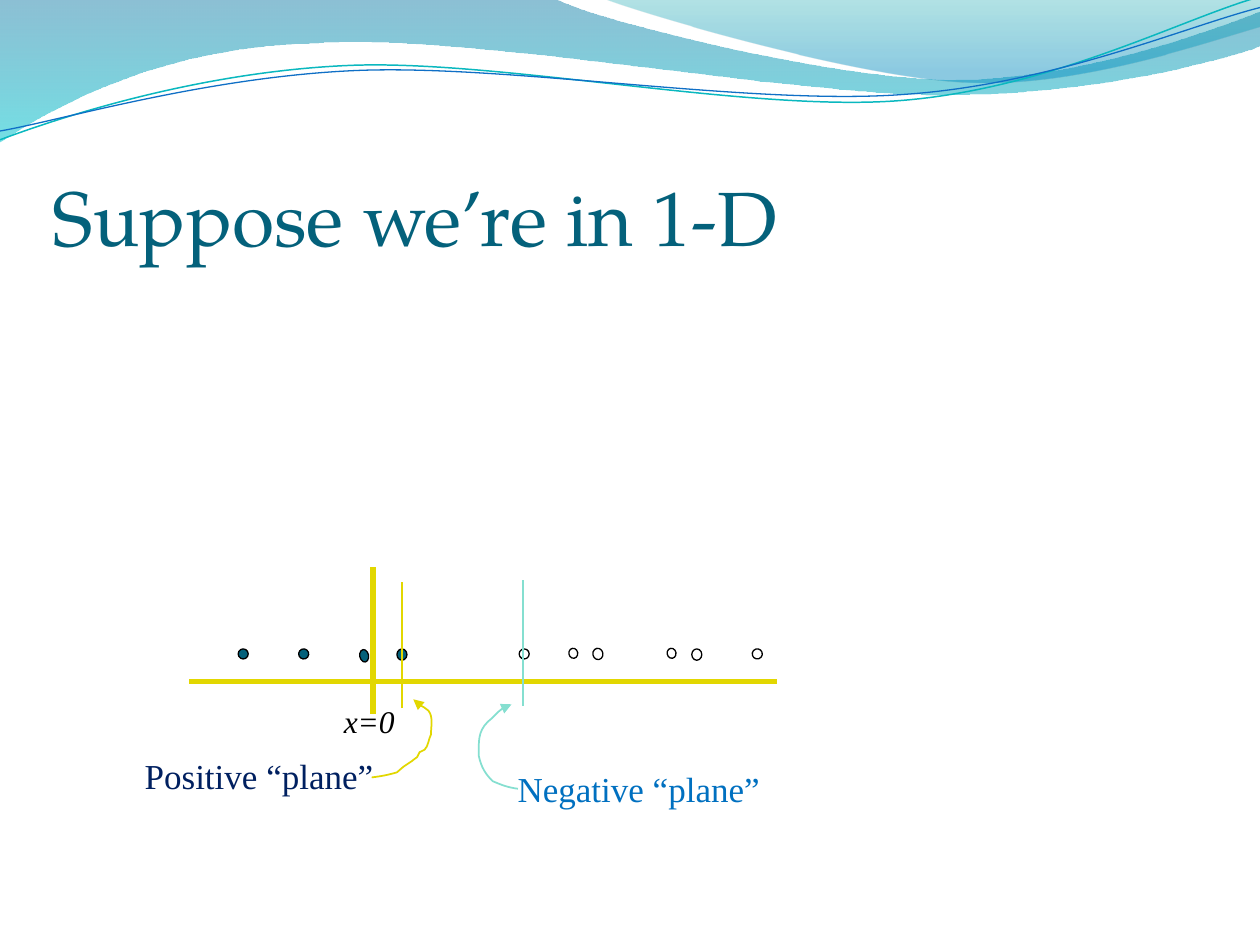
from typing import NamedTuple

from lxml import etree
from pptx import Presentation, util as u
from pptx.dml.color import RGBColor
from pptx.enum import shapes, text
from pptx.oxml.ns import qn

COLORS = {
    "title": "04617B", "positive": "E2D700", "negative": "85DFD0",
    "navy": "002060", "blue": "0070C0", "black": "000000", "white": "FFFFFF",
    "wave_teal": "0AB8BF", "wave_blue": "0F6FC6",
    "band_top": "0074A1", "band_bottom": "00C6CF",
    "corner_top": "00A1A9", "corner_bottom": "008BBF",
}
DOT_TOP = 5.15


class Stop(NamedTuple):
    position: float
    color: str
    opacity: int


class Curve(NamedTuple):
    """A start point, then segments: two numbers are a line, six a Bezier curve."""
    start: tuple
    segments: list


class Band(NamedTuple):
    curve: Curve
    stops: tuple


class Stroke(NamedTuple):
    curve: Curve
    color: str
    width: float
    arrow: bool = False


class Dot(NamedTuple):
    left: float
    fill: str
    width: float = 0.08
    height: float = 0.08
    rotation: float = 0
    top: float = DOT_TOP


class Rule(NamedTuple):
    start: tuple
    end: tuple
    color: str
    width: float


class Label(NamedTuple):
    words: str
    box: tuple
    font: dict
    color: str
    hanging: float = 0.38
    frame: dict = {}


BANDS = [
    Band(Curve((0, 0), [
        (4.4, -0.01), (4.76, 0.17, 6.64, 0.63, 7.58, 0.63),
        (8.53, 0.63, 9.58, 0.26, 10, 0.09), (10.01, 0.36),
        (9.83, 0.44, 8.7, 0.76, 7.46, 0.75), (6.22, 0.75, 3.82, 0.28, 2.57, 0.34),
        (1.29, 0.36, 0.46, 0.83, -0.01, 1.13)]),
        (Stop(0, "band_top", 45), Stop(1, "band_bottom", 55))),
    Band(Curve((4.79, -0.01), [
        (5.09, 0.11, 6.82, 0.62, 7.69, 0.65), (8.56, 0.69, 9.61, 0.32, 10, 0.21),
        (10, 0)]),
        (Stop(0, "corner_top", 30), Stop(0.8, "corner_bottom", 45))),
]
WAVES = [
    Stroke(Curve((0, 1.11), [
        (0.48, 0.93, 1.58, 0.57, 2.77, 0.52), (3.95, 0.47, 5.93, 0.89, 7.13, 0.8),
        (8.33, 0.71, 9.38, 0.15, 9.98, -0.02)]), "wave_teal", 0.85),
    Stroke(Curve((0, 1.04), [
        (0.47, 0.96, 1.64, 0.61, 2.83, 0.56), (4.03, 0.51, 5.97, 0.84, 7.17, 0.75),
        (8.36, 0.67, 9.41, 0.21, 10, 0.06)]), "wave_blue", 0.75),
]
AXES = [
    Rule((2.96, 4.5), (2.96, 5.67), "positive", 3),
    Rule((1.5, 5.41), (6.17, 5.41), "positive", 3),
]
DOTS = [
    Dot(1.89, "title"),
    Dot(2.37, "title", rotation=98.3),
    Dot(2.84, "title", 0.1, 0.07, 79.6, 5.17),
    Dot(3.15, "title", height=0.09),
    Dot(4.12, "white"),
    Dot(4.51, "white", height=0.07, rotation=79.6),
    Dot(4.7, "white", width=0.09, rotation=79.6),
    Dot(5.29, "white", height=0.07, rotation=79.6),
    Dot(5.49, "white", height=0.09),
    Dot(5.97, "white", rotation=341.4),
]
PLANES = [
    Rule((3.19, 5.62), (3.19, 4.62), "positive", 1),
    Rule((4.15, 5.6), (4.15, 4.6), "negative", 1),
]
ARROWS = [
    Stroke(Curve((2.95, 6.17), [
        (3.03, 6.16, 3.08, 6.15, 3.15, 6.13), (3.22, 6.07, 3.18, 6.1, 3.27, 6.04),
        (3.28, 6.03, 3.31, 6.01, 3.31, 6.01), (3.32, 6, 3.32, 5.98, 3.33, 5.97),
        (3.34, 5.96, 3.36, 5.96, 3.37, 5.95), (3.4, 5.92, 3.4, 5.87, 3.42, 5.83),
        (3.42, 5.77, 3.44, 5.69, 3.4, 5.64), (3.38, 5.62, 3.32, 5.59, 3.32, 5.59),
        (3.29, 5.55, 3.31, 5.55, 3.28, 5.55)]), "positive", 1, True),
    Stroke(Curve((4.11, 6.26), [
        (4.03, 6.25, 3.98, 6.23, 3.91, 6.2), (3.85, 6.14, 3.82, 6.09, 3.8, 6),
        (3.8, 5.89, 3.79, 5.81, 3.87, 5.73), (3.91, 5.7, 3.97, 5.62, 4.03, 5.6),
        (4.04, 5.6, 4.06, 5.59, 4.06, 5.59)]), "negative", 1, True),
]
SERIF = {"name": "Times New Roman", "size": u.Pt(20)}
LABELS = [
    Label("Suppose we’re in 1-D", (0.42, 0.83, 9.08, 1.25),
          {"name": "TeX Gyre Pagella", "size": u.Pt(44)}, "title", 0,
          {"vertical_anchor": text.MSO_ANCHOR.BOTTOM, "margin_left": 0,
           "margin_right": 0, "margin_bottom": 0}),
    Label("Positive “plane”", (1.05, 5.94, 2.44, 0.44), SERIF, "navy"),
    Label("Negative “plane”", (4.01, 6.04, 2.44, 0.44), SERIF, "blue"),
    Label("x=0", (2.63, 5.52, 0.99, 0.4),
          SERIF | {"size": u.Pt(18), "italic": True}, "black"),
]


def rgb(name: str) -> RGBColor:
    return RGBColor.from_string(COLORS[name])


def set_attributes(target, values: dict) -> None:
    for name, value in values.items():
        setattr(target, name, value)


def set_line(line, color: str, width: float) -> None:
    line.color.rgb = rgb(color)
    line.width = u.Pt(width)


def add_curve(slide, curve: Curve, close: bool):
    """Lay every control point as a line, then join each three into a Bezier curve."""
    points = [(u.Inches(segment[i]), u.Inches(segment[i + 1]))
              for segment in [curve.start, *curve.segments]
              for i in range(0, len(segment), 2)]
    builder = slide.shapes.build_freeform(*points[0])
    builder.add_line_segments(points[1:], close=close)
    shape = builder.convert_to_shape()
    shape.shadow.inherit = False
    lines = iter(list(shape.element.spPr.iter(qn("a:lnTo"))))
    for segment in curve.segments:
        parts = [next(lines) for _ in range(len(segment) // 2)]
        if len(parts) == 3:
            bezier = etree.Element(qn("a:cubicBezTo"))
            parts[0].addprevious(bezier)
            for part in parts:
                bezier.append(part[0])
                part.getparent().remove(part)
    return shape


def add_band(slide, band: Band) -> None:
    shape = add_curve(slide, band.curve, True)
    shape.line.fill.background()
    shape.fill.gradient()
    shape.fill.gradient_angle = 270
    for gradient_stop, stop in zip(shape.fill.gradient_stops, band.stops):
        gradient_stop.position = stop.position
        gradient_stop.color.rgb = rgb(stop.color)
    for color, stop in zip(shape.element.spPr.iter(qn("a:srgbClr")), band.stops):
        etree.SubElement(color, qn("a:alpha"), val=str(stop.opacity * 1000))


def add_stroke(slide, stroke: Stroke) -> None:
    shape = add_curve(slide, stroke.curve, False)
    shape.fill.background()
    set_line(shape.line, stroke.color, stroke.width)
    if stroke.arrow:
        etree.SubElement(shape.element.spPr.find(qn("a:ln")), qn("a:tailEnd"), type="triangle")


def add_rule(slide, rule: Rule) -> None:
    ends = [u.Inches(value) for value in rule.start + rule.end]
    connector = slide.shapes.add_connector(shapes.MSO_CONNECTOR.STRAIGHT, *ends)
    set_line(connector.line, rule.color, rule.width)
    etree.SubElement(connector.element.spPr, qn("a:effectLst"))


def add_dot(slide, dot: Dot) -> None:
    box = [u.Inches(value) for value in (dot.left, dot.top, dot.width, dot.height)]
    shape = slide.shapes.add_shape(shapes.MSO_SHAPE.OVAL, *box)
    shape.rotation = dot.rotation
    shape.shadow.inherit = False
    shape.fill.solid()
    shape.fill.fore_color.rgb = rgb(dot.fill)
    set_line(shape.line, "black", 0.75)


def add_label(slide, label: Label) -> None:
    frame = slide.shapes.add_textbox(*map(u.Inches, label.box)).text_frame
    set_attributes(frame, {"word_wrap": True} | label.frame)
    paragraph = frame.paragraphs[0]
    if label.hanging:
        properties = paragraph._p.get_or_add_pPr()
        properties.set("marL", str(u.Inches(label.hanging)))
        properties.set("indent", str(-u.Inches(label.hanging)))
    run = paragraph.add_run()
    run.text = label.words
    set_attributes(run.font, label.font)
    run.font.color.rgb = rgb(label.color)


def main() -> None:
    presentation = Presentation()
    set_attributes(presentation, {"slide_width": u.Inches(10), "slide_height": u.Inches(7.5)})
    slide = presentation.slides.add_slide(presentation.slide_layouts[6])
    layers = [(add_band, BANDS), (add_stroke, WAVES), (add_rule, AXES), (add_dot, DOTS),
              (add_rule, PLANES), (add_stroke, ARROWS), (add_label, LABELS)]
    for draw, items in layers:
        for item in items:
            draw(slide, item)
    presentation.save("out.pptx")


if __name__ == "__main__":
    main()
